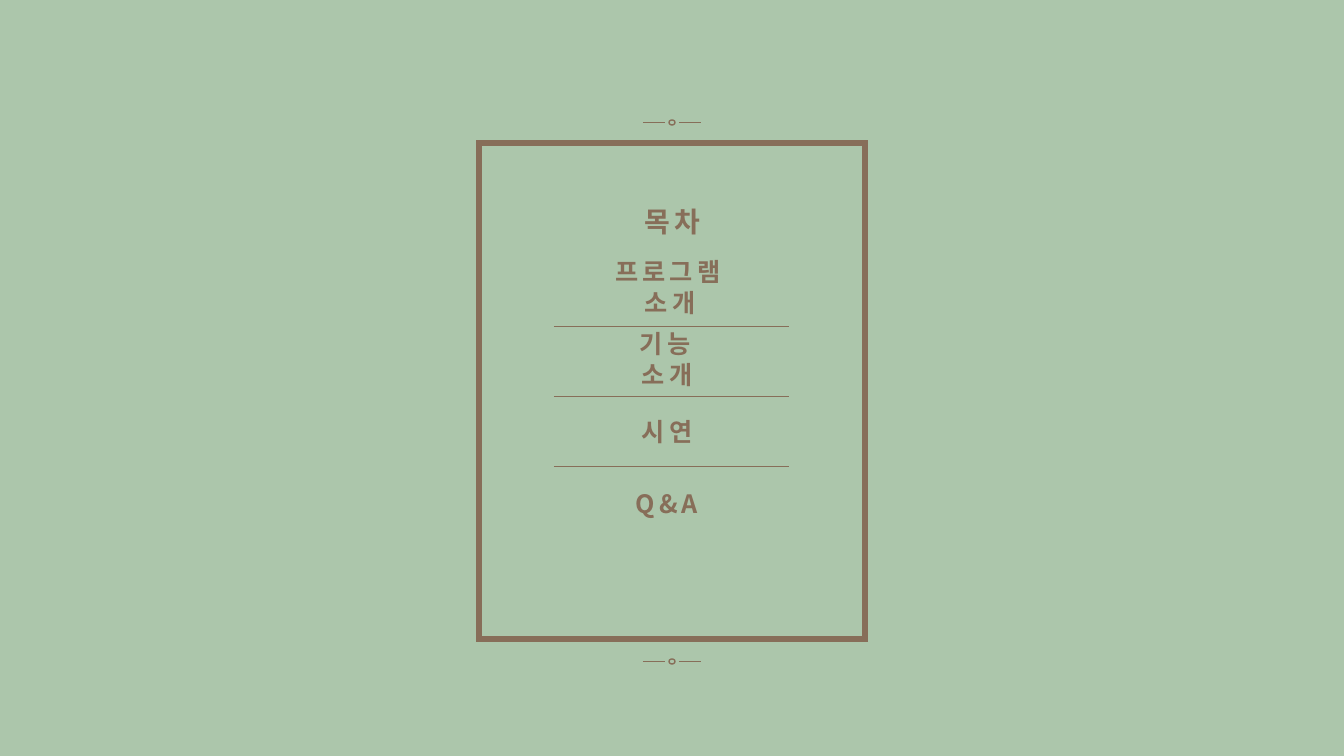
from lxml import etree
from pptx import Presentation, util as u
from pptx.dml.color import RGBColor
from pptx.enum import shapes, text
from pptx.oxml import ns

COLOURS = {"sage": "ACC6AB", "brown": "876E59"}
FONT = "Noto Sans CJK KR"
EMU_PER_PX = 914400 / 100.8
WIDTH, HEIGHT = 1344, 756
CENTRE = WIDTH // 2
LINE_HEIGHT, PADDING = 30, 10


def px(length):
    return u.Emu(round(length * EMU_PER_PX))


def colour(name):
    return RGBColor.from_string(COLOURS[name])


def write(box, words, size=18, bold=True, spacing=3, wrap=False):
    """Fill a text box with a centred paragraph in the slide's lettering."""
    frame = box.text_frame
    frame.word_wrap = wrap
    frame.auto_size = text.MSO_AUTO_SIZE.SHAPE_TO_FIT_TEXT
    frame.vertical_anchor = text.MSO_ANCHOR.MIDDLE
    para = frame.paragraphs[0]
    para.alignment = text.PP_ALIGN.CENTER
    span = para.add_run()
    span.text = words
    span.font.size = u.Pt(size)
    span.font.bold = bold
    span.font.color.rgb = colour("brown")
    span.font.name = FONT
    properties = span.font._element
    properties.set("spc", str(spacing * 100))
    etree.SubElement(properties, ns.qn("a:ea"), typeface=FONT)


class ContentsSlide:
    def __init__(self, deck):
        self.page = deck.slides.add_slide(deck.slide_layouts[5])
        fill = self.page.background.fill
        fill.solid()
        fill.fore_color.rgb = colour("sage")

    def outline(self, kind, left, top, width, height, weight=1, parent=None):
        parent = parent or self.page.shapes
        shape = parent.add_shape(kind, px(left), px(top), px(width), px(height))
        shape.shadow.inherit = False
        shape.fill.background()
        shape.line.color.rgb = colour("brown")
        shape.line.width = u.Pt(weight)
        etree.SubElement(shape.line._get_or_add_ln(), ns.qn("a:miter"), lim="800000")

    def rule(self, left, right, y, parent=None):
        """Draw a thin line through the middle of pixel row y."""
        parent = parent or self.page.shapes
        middle = px(y + 0.5)
        line = parent.add_connector(
            shapes.MSO_CONNECTOR.STRAIGHT, px(left), middle, px(right), middle)
        line.line.color.rgb = colour("brown")
        line.line.width = u.Pt(1)
        etree.SubElement(line._element.spPr, ns.qn("a:effectLst"))

    def ornament(self, y):
        """Draw a small ring between two dashes, centred on the slide."""
        parts = self.page.shapes.add_group_shape().shapes
        self.outline(shapes.MSO_SHAPE.OVAL, CENTRE - 3, y - 2, 6, 5, parent=parts)
        self.rule(CENTRE + 7, CENTRE + 29, y, parts)
        self.rule(CENTRE - 29, CENTRE - 7, y, parts)

    def title(self, words, left, top, width, height):
        box = self.page.shapes.title
        box.left, box.top = px(left), px(top)
        box.width, box.height = px(width), px(height)
        write(box, words, size=20)

    def label(self, words, left, middle, width):
        """Centre a label on a height, with one line for each word."""
        lines = len(words.split())
        height = lines * LINE_HEIGHT + PADDING
        box = self.page.shapes.add_textbox(
            px(left), px(middle - height // 2), px(width), px(height))
        write(box, words, wrap=lines > 1)


def main():
    deck = Presentation()
    deck.slide_width, deck.slide_height = px(WIDTH), px(HEIGHT)
    contents = ContentsSlide(deck)

    contents.outline(shapes.MSO_SHAPE.RECTANGLE, 479, 143, 386, 496, weight=4.5)
    for y in (122, 661):
        contents.ornament(y)

    contents.title("목차", 632, 199, 80, 44)
    for row in range(3):
        contents.rule(554, 789, 326 + 70 * row)
    topics = [("프로그램 소개", 590, 160), ("기능 소개", 609, 116),
              ("시연", 630, 74), ("Q&A", 622, 90)]
    for row, (words, left, width) in enumerate(topics):
        contents.label(words, left, 287 + 72 * row, width)

    deck.save("out.pptx")


if __name__ == "__main__":
    main()
